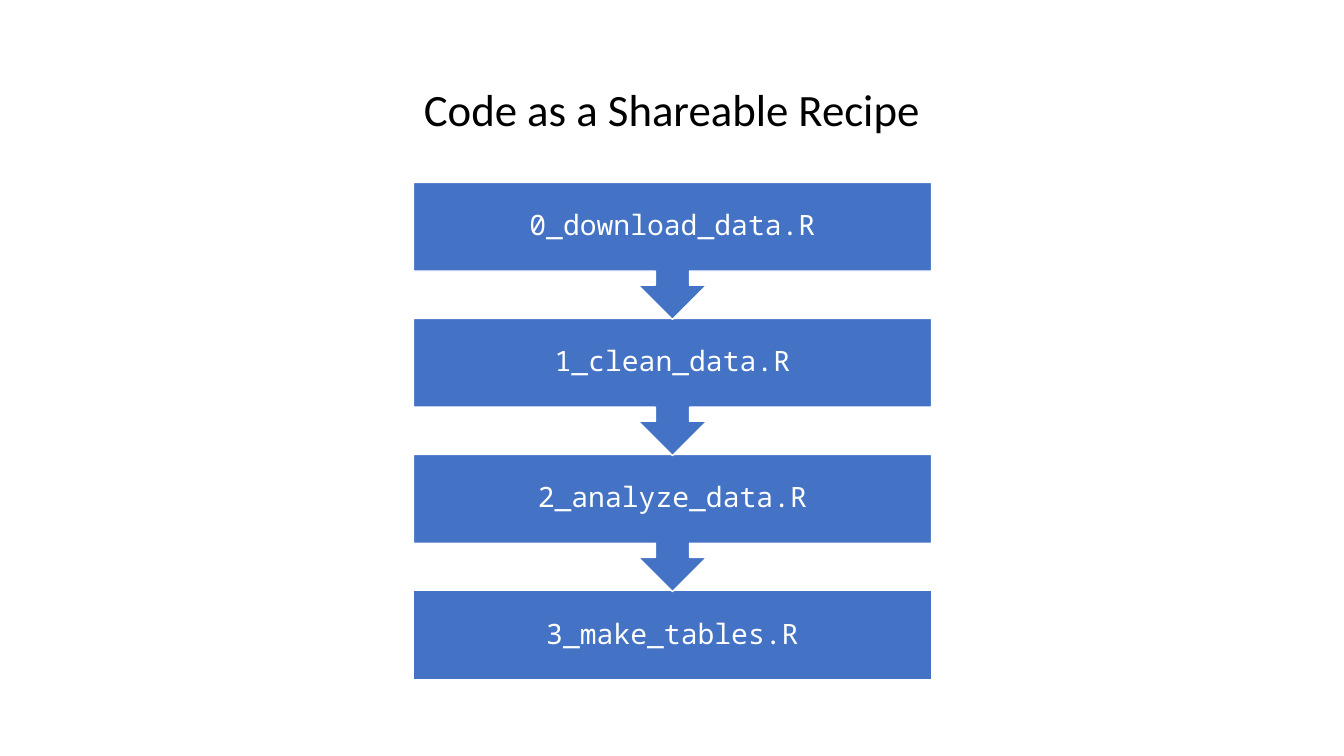
import pptx
import pptx.dml.color
import pptx.enum.shapes
import pptx.enum.text
import pptx.util
from dataclasses import dataclass

Inches = pptx.util.Inches
Pt = pptx.util.Pt
RGBColor = pptx.dml.color.RGBColor
SHAPE = pptx.enum.shapes.MSO_SHAPE
ALIGN = pptx.enum.text.PP_ALIGN
ANCHOR = pptx.enum.text.MSO_ANCHOR


@dataclass(frozen=True)
class Theme:
    title_color: RGBColor = RGBColor(0x00, 0x00, 0x00)
    step_fill: RGBColor = RGBColor(0x44, 0x72, 0xC4)
    step_text: RGBColor = RGBColor(0xFF, 0xFF, 0xFF)
    outline: RGBColor = RGBColor(0xFF, 0xFF, 0xFF)
    title_font: str = "Calibri"
    code_font: str = "Noto Sans Mono"
    title_size: int = 32
    code_size: int = 20


class RecipePage:
    def __init__(self, page, theme):
        self.page = page
        self.theme = theme

    def add_label(self, box, text, font, size, color):
        """Put one centred run into the first paragraph of the box."""
        box.text_frame.word_wrap = True
        box.text_frame.vertical_anchor = ANCHOR.MIDDLE
        para = box.text_frame.paragraphs[0]
        para.alignment = ALIGN.CENTER
        span = para.add_run()
        span.text = text
        span.font.name = font
        span.font.size = Pt(size)
        span.font.color.rgb = color
        return para

    def title(self, text, left, top, width, height):
        box = self.page.shapes.title
        box.left, box.top = Inches(left), Inches(top)
        box.width, box.height = Inches(width), Inches(height)
        box.text_frame.auto_size = pptx.enum.text.MSO_AUTO_SIZE.NONE
        theme = self.theme
        self.add_label(box, text, theme.title_font, theme.title_size, theme.title_color)

    def step(self, kind, text, left, top, width, height):
        theme = self.theme
        box = self.page.shapes.add_shape(
            kind, Inches(left), Inches(top), Inches(width), Inches(height))
        box.shadow.inherit = False
        box.fill.solid()
        box.fill.fore_color.rgb = theme.step_fill
        box.line.color.rgb = theme.outline
        box.line.width = Pt(1)
        frame = box.text_frame
        frame.margin_left = frame.margin_right = Inches(0.16)
        frame.margin_top = frame.margin_bottom = Inches(0.16)
        para = self.add_label(
            box, text, theme.code_font, theme.code_size, theme.step_text)
        para.line_spacing = 0.9
        return box

    def flow(self, scripts, left, top, width, pitch, box_height, callout_height):
        """Stack the steps from the last up, so each arrow tip lies over the next box."""
        last = len(scripts) - 1
        for index in range(last, -1, -1):
            place = (left, top + index * pitch, width)
            if index == last:
                self.step(SHAPE.RECTANGLE, scripts[index], *place, box_height)
            else:
                callout = self.step(
                    SHAPE.DOWN_ARROW_CALLOUT, scripts[index], *place, callout_height)
                callout.adjustments[3] = box_height / callout_height


def main():
    deck = pptx.Presentation()
    deck.slide_width, deck.slide_height = Inches(13.33), Inches(7.5)
    title_only = deck.slide_layouts[5]
    recipe = RecipePage(deck.slides.add_slide(title_only), Theme())
    recipe.title("Code as a Shareable Recipe", 3.08, 0.76, 7.17, 0.64)
    scripts = ["0_download_data.R", "1_clean_data.R",
               "2_analyze_data.R", "3_make_tables.R"]
    recipe.flow(scripts, left=4.1, top=1.81, width=5.14, pitch=1.35,
                box_height=0.88, callout_height=1.36)
    deck.save("out.pptx")


if __name__ == "__main__":
    main()
